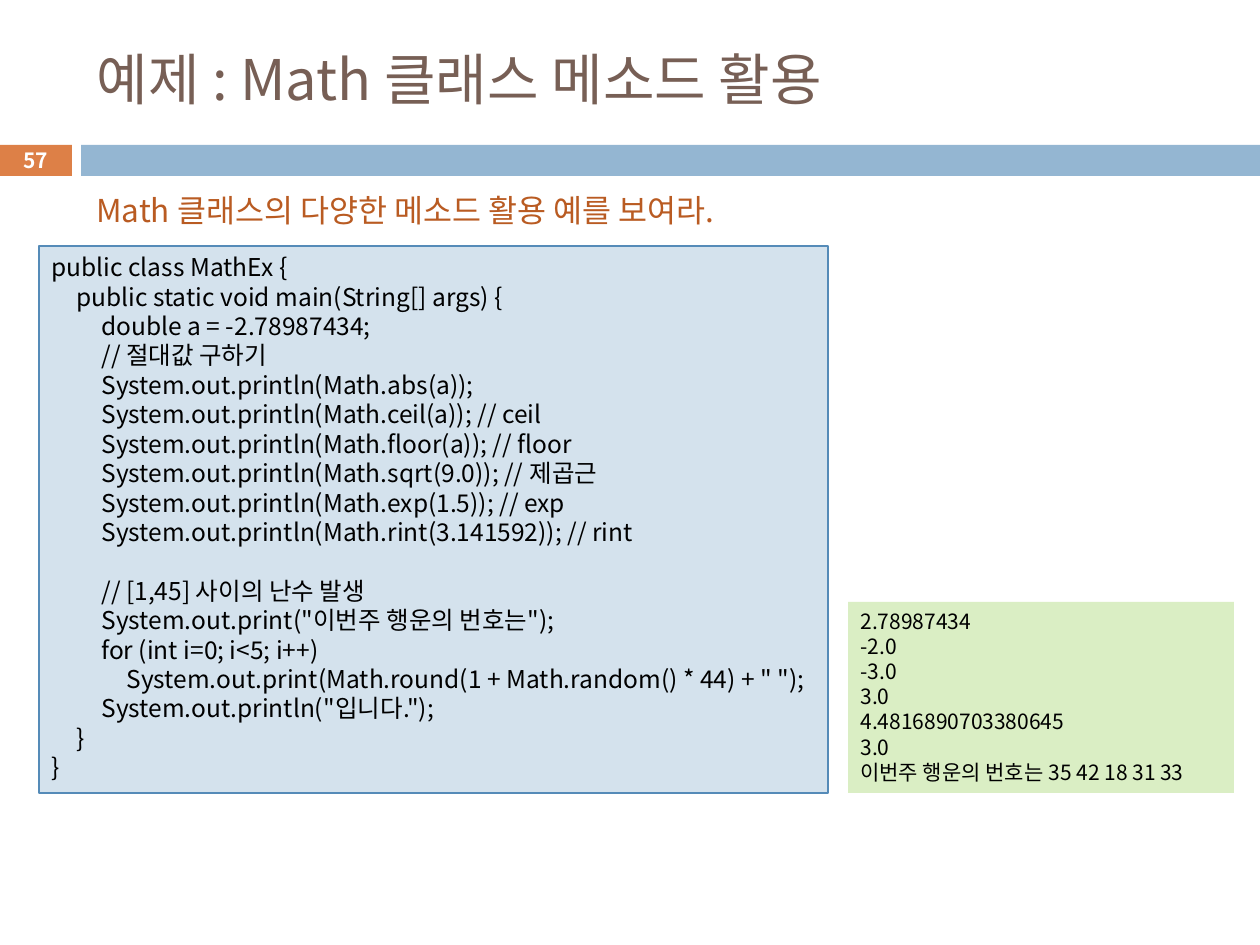
from dataclasses import dataclass
from typing import Optional

from pptx import Presentation
from pptx import util as u
from pptx.dml.color import RGBColor
from pptx.enum import shapes, text
from pptx.oxml.ns import qn

PX = 914400 / 126
FONT = "Noto Sans CJK KR"
STEP = 25
BROWN = RGBColor(0x77, 0x5F, 0x55)
RUST = RGBColor(0xB9, 0x5B, 0x22)
ORANGE = RGBColor(0xDD, 0x80, 0x47)
BLUE = RGBColor(0x94, 0xB6, 0xD2)
PALE = RGBColor(0xD4, 0xE2, 0xED)
EDGE = RGBColor(0x55, 0x8B, 0xB8)
GREEN = RGBColor(0xDA, 0xEE, 0xC4)
BLACK = RGBColor(0, 0, 0)
WHITE = RGBColor(0xFF, 0xFF, 0xFF)

CODE = """public class MathEx {
\tpublic static void main(String[] args) {
\t\tdouble a = -2.78987434;
\t\t// 절대값 구하기
\t\tSystem.out.println(Math.abs(a));
\t\tSystem.out.println(Math.ceil(a)); // ceil
\t\tSystem.out.println(Math.floor(a)); // floor
\t\tSystem.out.println(Math.sqrt(9.0)); // 제곱근
\t\tSystem.out.println(Math.exp(1.5)); // exp
\t\tSystem.out.println(Math.rint(3.141592)); // rint

\t\t// [1,45] 사이의 난수 발생
\t\tSystem.out.print("이번주 행운의 번호는");
\t\tfor (int i=0; i<5; i++)
\t\t\tSystem.out.print(Math.round(1 + Math.random() * 44) + " ");
\t\tSystem.out.println("입니다.");
\t}
}"""
RESULT = """2.78987434
-2.0
-3.0
3.0
4.4816890703380645
3.0
이번주 행운의 번호는 35 42 18 31 33"""


@dataclass
class Box:
    x: int
    y: int
    w: int
    h: int
    fill: RGBColor
    line: Optional[RGBColor] = None
    words: str = ""
    size: int = 14


BOXES = [
    Box(-1, 145, 73, 31, ORANGE),
    Box(81, 145, 1179, 31, BLUE),
    Box(39, 246, 789, 547, PALE, EDGE, CODE, 14),
    Box(848, 602, 386, 191, GREEN, None, RESULT, 12),
]


def px(n: int) -> u.Emu:
    return u.Emu(round(n * PX))


def style(par, size: int, color: RGBColor, bold: bool = False) -> None:
    for run in par.runs:
        font = run.font
        font.name, font.size, font.bold = FONT, u.Pt(size), bold
        font.color.rgb = color
        east = font._element.makeelement(qn("a:ea"), {"typeface": FONT})
        font._element.find(qn("a:latin")).addnext(east)


def fill_lines(frame, words: str, size: int) -> None:
    pitch = u.Pt(round(size * 1.2, 1))
    frame.word_wrap = True
    frame.vertical_anchor = text.MSO_ANCHOR.TOP
    par, gap = frame.paragraphs[0], False
    for i, row in enumerate(words.split("\n")):
        if not row:
            gap = True
            continue
        if i:
            par = frame.add_paragraph()
        par.text = row.lstrip("\t")
        par.alignment = text.PP_ALIGN.LEFT
        par.line_spacing = pitch
        if gap:
            par.space_before, gap = pitch, False
        depth = len(row) - len(par.text)
        par._p.get_or_add_pPr().set("marL", str(px(STEP * depth)))
        style(par, size, BLACK)


def draw_box(slide, box: Box) -> None:
    rect = slide.shapes.add_shape(
        shapes.MSO_SHAPE.RECTANGLE, px(box.x), px(box.y), px(box.w), px(box.h))
    rect.shadow.inherit = False
    rect.fill.solid()
    rect.fill.fore_color.rgb = box.fill
    if box.line is None:
        rect.line.fill.background()
    else:
        rect.line.color.rgb = box.line
        rect.line.width = u.Pt(0.75)
    if box.words:
        fill_lines(rect.text_frame, box.words, box.size)


def put_text(shape, words: str, size: int, color: RGBColor, mid: bool = True,
             align=text.PP_ALIGN.LEFT, bold: bool = False) -> None:
    frame = shape.text_frame
    frame.text = words
    frame.word_wrap = True
    frame.vertical_anchor = text.MSO_ANCHOR.MIDDLE if mid else text.MSO_ANCHOR.TOP
    frame.paragraphs[0].alignment = align
    style(frame.paragraphs[0], size, color, bold)


def main() -> None:
    """Build the Math class example slide."""
    deck = Presentation()
    deck.slide_width, deck.slide_height = px(1260), px(945)
    slide = deck.slides.add_slide(deck.slide_layouts[5])
    title = slide.shapes.title
    title.left, title.top, title.width, title.height = map(px, (84, 32, 1124, 93))
    put_text(title, "예제 : Math 클래스 메소드 활용", 32, BROWN)
    for box in BOXES:
        draw_box(slide, box)
    task = slide.shapes.add_textbox(*map(px, (84, 185, 707, 50)))
    put_text(task, "Math 클래스의 다양한 메소드 활용 예를 보여라.", 18, RUST, mid=False)
    page = slide.shapes.add_textbox(*map(px, (-1, 143, 73, 34)))
    put_text(page, "57", 12, WHITE, align=text.PP_ALIGN.CENTER, bold=True)
    deck.save("out.pptx")


if __name__ == "__main__":
    main()
